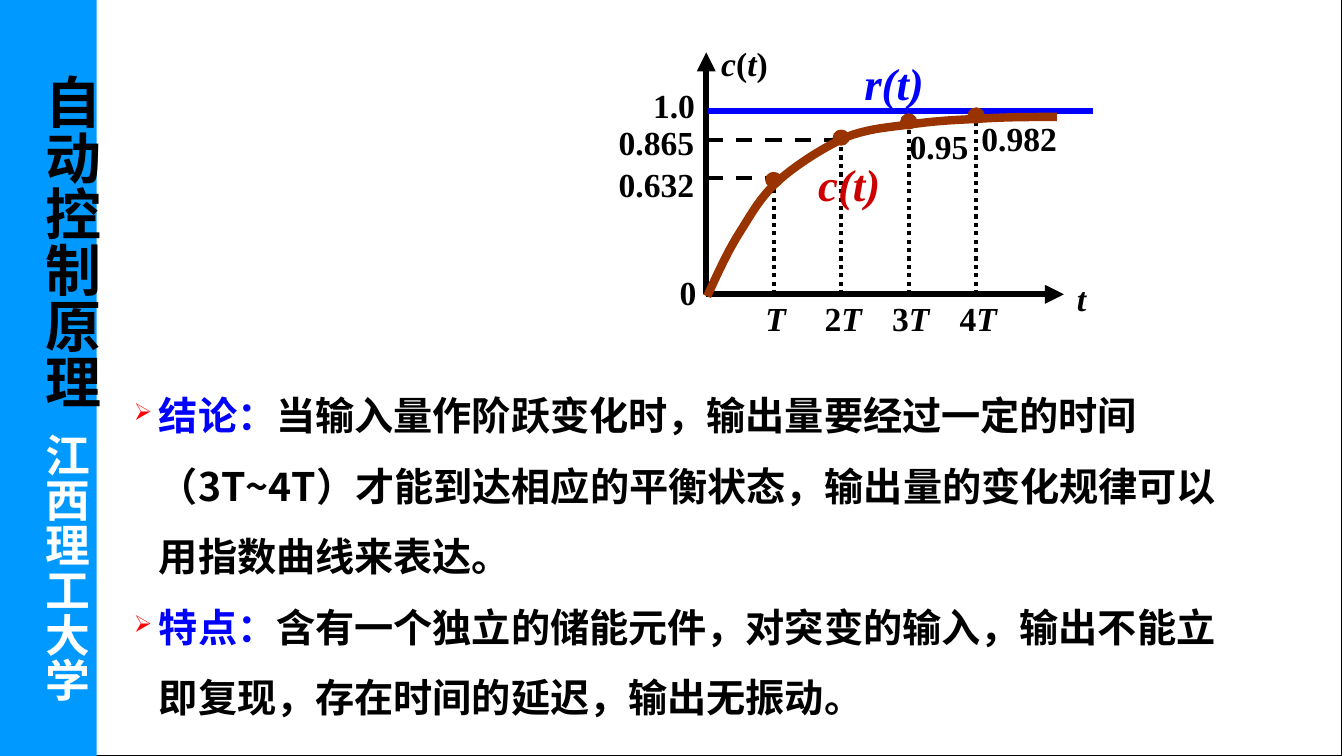
from lxml import etree
from pptx import Presentation
from pptx.dml.color import RGBColor
from pptx.enum.dml import MSO_LINE
from pptx.enum.shapes import MSO_CONNECTOR, MSO_SHAPE
from pptx.enum.text import PP_ALIGN
from pptx.oxml.ns import qn
from pptx.util import Pt

PX = 9144
SLIDE_W, SLIDE_H = 1334, 750
STRAIGHT = MSO_CONNECTOR.STRAIGHT
RECT, OVAL = MSO_SHAPE.RECTANGLE, MSO_SHAPE.OVAL
DASH, DOTS = MSO_LINE.DASH, MSO_LINE.ROUND_DOT
CENTER = PP_ALIGN.CENTER
SERIF, SANS, CJK = "Times New Roman", "Arial", "Noto Sans CJK SC"
BLACK, WHITE, BLUE, RED = "000000", "FFFFFF", "0000FF", "FF0000"
BROWN, CRIMSON, SKY = "993300", "CC0000", "0099FF"


def rgb(code):
    """Turn a hex string into a colour."""
    return RGBColor.from_string(code)


def add_child(parent, tag, **attributes):
    """Append a drawing element with attributes."""
    return etree.SubElement(parent, qn(tag), attributes)


def add_run(paragraph, text, color, **formats):
    """Add a bold run and apply its font formats."""
    run = paragraph.add_run()
    run.text = text
    for name, value in {"bold": True, **formats}.items():
        setattr(run.font, name, value)
    run.font.color.rgb = rgb(color)
    return run


def add_cjk_run(paragraph, text, color, size, name=CJK):
    """Add a Chinese run with its East Asian font."""
    run = add_run(paragraph, text, color, size=Pt(size), name=name)
    add_child(run.font._element, "a:ea", typeface=CJK)


def add_frame(slide, x, y, w, h, **formats):
    """Add a text box and return its formatted text frame."""
    frame = slide.shapes.add_textbox(x * PX, y * PX, w * PX, h * PX).text_frame
    for name, value in formats.items():
        setattr(frame, name, value)
    return frame


def add_filled(slide, kind, x, y, w, h, fill, outline=None):
    """Add a filled preset shape."""
    shape = slide.shapes.add_shape(kind, x * PX, y * PX, w * PX, h * PX)
    shape.shadow.inherit = False
    shape.fill.solid()
    shape.fill.fore_color.rgb = rgb(fill)
    if outline:
        shape.line.color.rgb = rgb(outline)
        shape.line.width = Pt(0.75)
    else:
        shape.line.fill.background()


def add_line(slide, x1, y1, x2, y2, width, color=BLACK, dash=None, arrow=False):
    """Draw a straight line, dashed or with an arrowhead if asked."""
    line = slide.shapes.add_connector(STRAIGHT, x1 * PX, y1 * PX, x2 * PX, y2 * PX)
    line.line.color.rgb = rgb(color)
    line.line.width = Pt(width)
    if dash:
        line.line.dash_style = dash
    if arrow:
        add_child(line.line._ln, "a:tailEnd", type="triangle")
    add_child(line._element.spPr, "a:effectLst")


def add_label(slide, x, y, w, parts, size=24, color=BLACK, spacing=1.0):
    """Place a centred label made of (text, italic) parts."""
    frame = add_frame(slide, x, y, w, 50, word_wrap=False)
    paragraph = frame.paragraphs[0]
    paragraph.alignment = CENTER
    paragraph.line_spacing = spacing
    for text, italic in parts:
        add_run(paragraph, text, color, size=Pt(size), name=SERIF, italic=italic)


def bezier_points(start, segments, steps=10):
    """Sample points along joined cubic curves."""
    points = [start]
    for b, c, d in segments:
        a = points[-1]
        for step in range(1, steps + 1):
            t = step / steps
            weights = ((1 - t) ** 3, 3 * t * (1 - t) ** 2, 3 * t * t * (1 - t), t ** 3)
            points.append(tuple(
                sum(weight * value for weight, value in zip(weights, axis))
                for axis in zip(a, b, c, d)))
    return points


def add_response_curve(slide, left, top):
    """Draw the exponential response curve."""
    segments = [
        ((118, 234), (128, 212), (140, 193)),
        ((152, 174), (161, 157), (179, 141)),
        ((197, 125), (224, 108), (246, 98)),
        ((269, 89), (292, 88), (313, 85)),
        ((335, 82), (353, 81), (376, 80)),
        ((400, 78), (441, 78), (455, 78)),
    ]
    points = [(round((left + x) * PX), round((top + y) * PX))
              for x, y in bezier_points((108, 256), segments)]
    builder = slide.shapes.build_freeform(*points[0], scale=1.0)
    builder.add_line_segments(points[1:], close=False)
    curve = builder.convert_to_shape()
    curve.shadow.inherit = False
    curve.fill.background()
    curve.line.color.rgb = rgb(BROWN)
    curve.line.width = Pt(6)


def add_step_response(slide, left, top):
    """Draw the step response diagram in its box."""
    origin_x, origin_y, period = left + 107, top + 254, 67
    ticks = [origin_x + period * n for n in range(1, 5)]
    markers = [top + y for y in (141, 99, 83, 77)]
    add_line(slide, origin_x, origin_y, origin_x, top + 14, 4.5, arrow=True)
    add_line(slide, origin_x, origin_y, left + 462, origin_y, 4.5, arrow=True)
    for tick, level in zip(ticks, (139, 101)):
        add_line(slide, origin_x, top + level, tick, top + level, 3, dash=DASH)
    add_line(slide, origin_x + 2, top + 72, left + 491, top + 72, 4.5, BLUE)
    for tick, marker in zip(ticks, markers):
        add_line(slide, tick, origin_y, tick, marker, 3, dash=DOTS)
    add_response_curve(slide, left, top)
    for tick, marker in zip(ticks, markers):
        add_filled(slide, OVAL, tick - 8, marker - 8, 16, 15, BROWN, BROWN)

    for text, x, y, w in (("0.632", 0, 124, 115), ("0.865", 0, 83, 115),
                          ("1.0", 44, 46, 62)):
        add_label(slide, left + x, top + y, w, [(text, False)], spacing=0.9)
    for text, x, y, w in (("0", 59, 227, 60), ("0.95", 299, 82, 78),
                          ("0.982", 370, 74, 95)):
        add_label(slide, left + x, top + y, w, [(text, False)])
    for number, tick in zip(("", "2", "3", "4"), ticks):
        parts = [(number, False), ("T", True)] if number else [("T", True)]
        add_label(slide, tick - 33, top + 253, 70, parts)
    add_label(slide, left + 465, top + 233, 29, [("t", True)])
    add_label(slide, left + 112, top, 66,
              [("c", True), ("(", False), ("t", True), (")", False)])
    add_label(slide, left + 254, top + 12, 79, [("r(t)", True)], 32, BLUE)
    add_label(slide, left + 208, top + 113, 82, [("c(t)", True)], 32, CRIMSON)


def add_findings(slide, left, top, width, height):
    """Write the bulleted conclusion and characteristics."""
    findings = [
        ("结论：", "当输入量作阶跃变化时，输出量要经过一定的时间（3T~4T）才能到达相应的平衡状态，"
                "输出量的变化规律可以用指数曲线来表达。"),
        ("特点：", "含有一个独立的储能元件，对突变的输入，输出不能立即复现，存在时间的延迟，输出无振动。"),
    ]
    frame = add_frame(slide, left, top, width, height, word_wrap=True)
    for index, (heading, body) in enumerate(findings):
        paragraph = frame.add_paragraph() if index else frame.paragraphs[0]
        properties = paragraph._p.get_or_add_pPr()
        properties.set("marL", str(25 * PX))
        properties.set("indent", str(-25 * PX))
        add_child(add_child(properties, "a:buClr"), "a:srgbClr", val=RED)
        add_child(properties, "a:buSzPct", val="60000")
        add_child(properties, "a:buChar", char="➢")
        paragraph.line_spacing = 1.5
        add_cjk_run(paragraph, heading, BLUE, 28)
        add_cjk_run(paragraph, body, BLACK, 28)


def add_sidebar(slide, left, top, width, height):
    """Draw the side band with the vertical course and university names."""
    add_filled(slide, RECT, left, top, width, height, SKY)
    names = [("自动控制原理", 20, 74, 84, 350, BLACK, 40, CJK),
             ("江西理工大学", 24, 430, 68, 285, WHITE, 32, SANS)]
    margins = dict.fromkeys(
        ("margin_left", "margin_right", "margin_top", "margin_bottom"), 0)
    for text, x, y, w, h, color, size, font in names:
        frame = add_frame(slide, left + x, top + y, w, h, word_wrap=True, **margins)
        frame._txBody.bodyPr.set("vert", "eaVert")
        add_cjk_run(frame.paragraphs[0], text, color, size, font)


def main():
    """Build the slide and save it."""
    deck = Presentation()
    deck.slide_width, deck.slide_height = SLIDE_W * PX, SLIDE_H * PX
    slide = deck.slides.add_slide(deck.slide_layouts[6])
    add_filled(slide, RECT, 95, 0, 1237, SLIDE_H, WHITE, BLACK)
    add_step_response(slide, 594, 38)
    add_findings(slide, 123, 360, 1124, 360)
    add_sidebar(slide, 0, 0, 96, SLIDE_H)
    deck.save("out.pptx")


if __name__ == "__main__":
    main()
